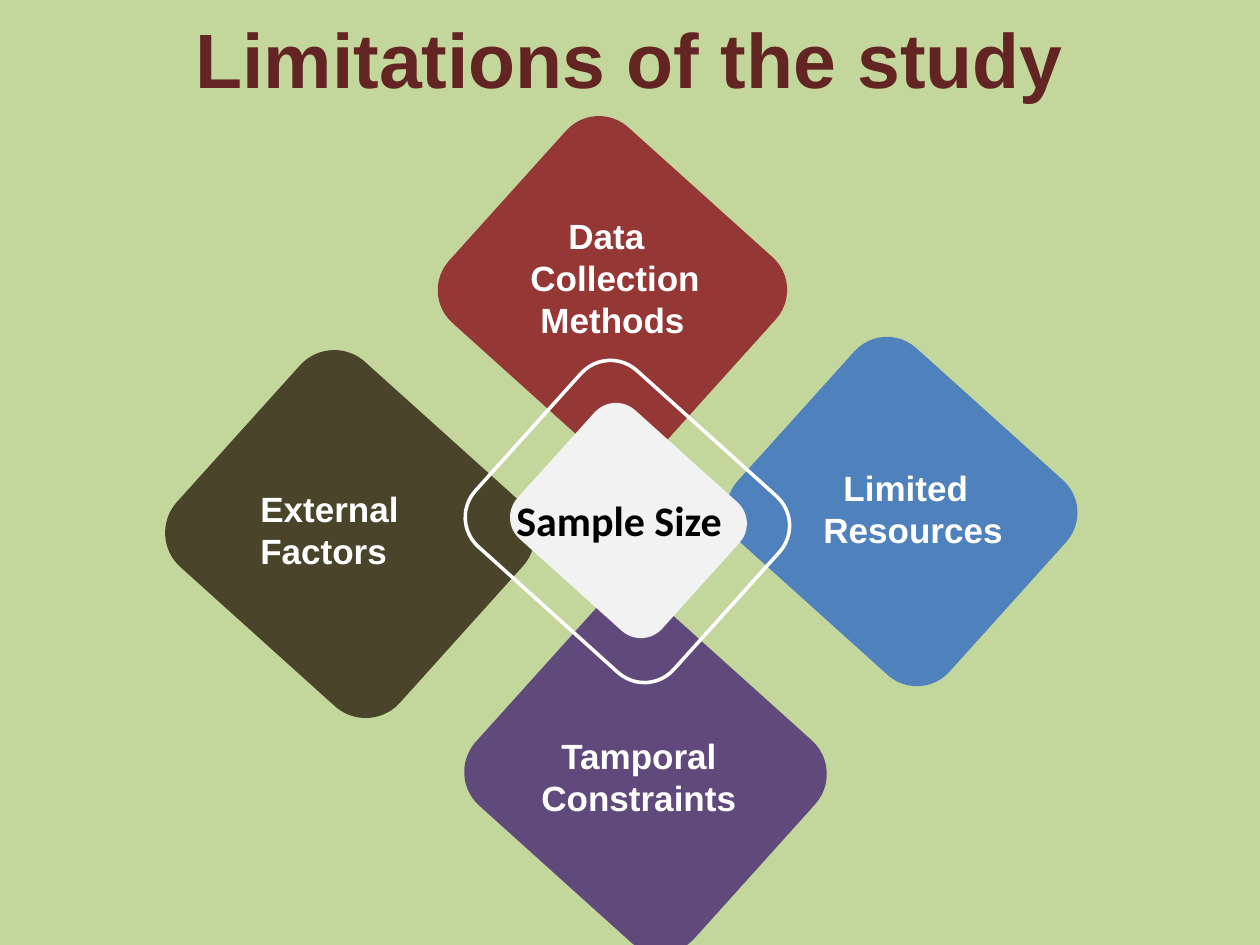
"""Build the slide on the limitations of the study."""
from pptx import Presentation
from pptx.dml.color import RGBColor
from pptx.enum.shapes import MSO_SHAPE as Shape
from pptx.enum.text import MSO_ANCHOR as Anchor, PP_ALIGN as Align
from pptx.util import Pt

SCALE = 914400 / 126
TILT = 312
LINE_HEIGHT = 1.2

DIAMONDS = [
    {"at": (212, 384, 276, 300), "fill": "4A452A"},
    {"at": (481, 149, 263, 282), "fill": "953735"},
    {"at": (771, 369, 262, 285), "fill": "4F81BD"},
    {"at": (510, 626, 271, 294), "fill": "604A7B"},
    {"at": (509, 388, 237, 267), "line": "FFFFFF"},
    {"at": (542, 423, 173, 195), "fill": "F2F2F2"},
]

TITLE = {"size": Pt(44), "name": "Arial", "bold": True, "color": "632523"}
LABEL = {"size": Pt(20), "name": "Arial", "bold": True, "color": "FFFFFF"}
CENTER = {"size": Pt(24), "name": "Calibri", "bold": True, "color": "000000"}

TEXTS = [
    ((63, -21, 1134, 157), TITLE, Align.CENTER, Anchor.MIDDLE,
     [("Limitations of the study", 0)]),
    ((518, 208, 218, 134), LABEL, Align.LEFT, Anchor.TOP,
     [("Data Collection", 38), ("Methods", 10)]),
    ((504, 488, 280, 73), CENTER, Align.LEFT, Anchor.TOP,
     [("Sample Size", 0)]),
    ((529, 728, 244, 97), LABEL, Align.LEFT, Anchor.TOP,
     [("Tamporal", 20), ("Constraints", 0)]),
    ((811, 460, 410, 95), LABEL, Align.LEFT, Anchor.TOP,
     [("Limited", 20), ("Resources", 0)]),
    ((248, 481, 215, 82), LABEL, Align.LEFT, Anchor.TOP,
     [("External Factors", 0)]),
]


def px(length):
    return round(length * SCALE)


def color(value):
    return RGBColor.from_string(value)


def add_diamond(slide, at, fill=None, line=None):
    shape = slide.shapes.add_shape(Shape.ROUNDED_RECTANGLE, *map(px, at))
    shape.rotation = TILT
    shape.shadow.inherit = False
    if fill:
        shape.fill.solid()
        shape.fill.fore_color.rgb = color(fill)
    else:
        shape.fill.background()
    if line:
        shape.line.color.rgb = color(line)
        shape.line.width = Pt(2)
    else:
        shape.line.fill.background()


def add_text(slide, at, style, align, anchor, lines):
    frame = slide.shapes.add_textbox(*map(px, at)).text_frame
    frame.word_wrap = True
    frame.vertical_anchor = anchor
    for index, (text, indent) in enumerate(lines):
        paragraph = frame.add_paragraph() if index else frame.paragraphs[0]
        paragraph.alignment = align
        paragraph.line_spacing = Pt(style["size"].pt * LINE_HEIGHT)
        if indent:
            paragraph._p.get_or_add_pPr().set("indent", str(px(indent)))
        run = paragraph.add_run()
        run.text = text
        for name, value in style.items():
            if name == "color":
                run.font.color.rgb = color(value)
            else:
                setattr(run.font, name, value)


def main():
    presentation = Presentation()
    presentation.slide_width = px(1260)
    presentation.slide_height = px(945)
    slide = presentation.slides.add_slide(presentation.slide_layouts[6])
    slide.background.fill.solid()
    slide.background.fill.fore_color.rgb = color("C3D69B")
    for diamond in DIAMONDS:
        add_diamond(slide, **diamond)
    for text in TEXTS:
        add_text(slide, *text)
    presentation.save("out.pptx")


if __name__ == "__main__":
    main()
